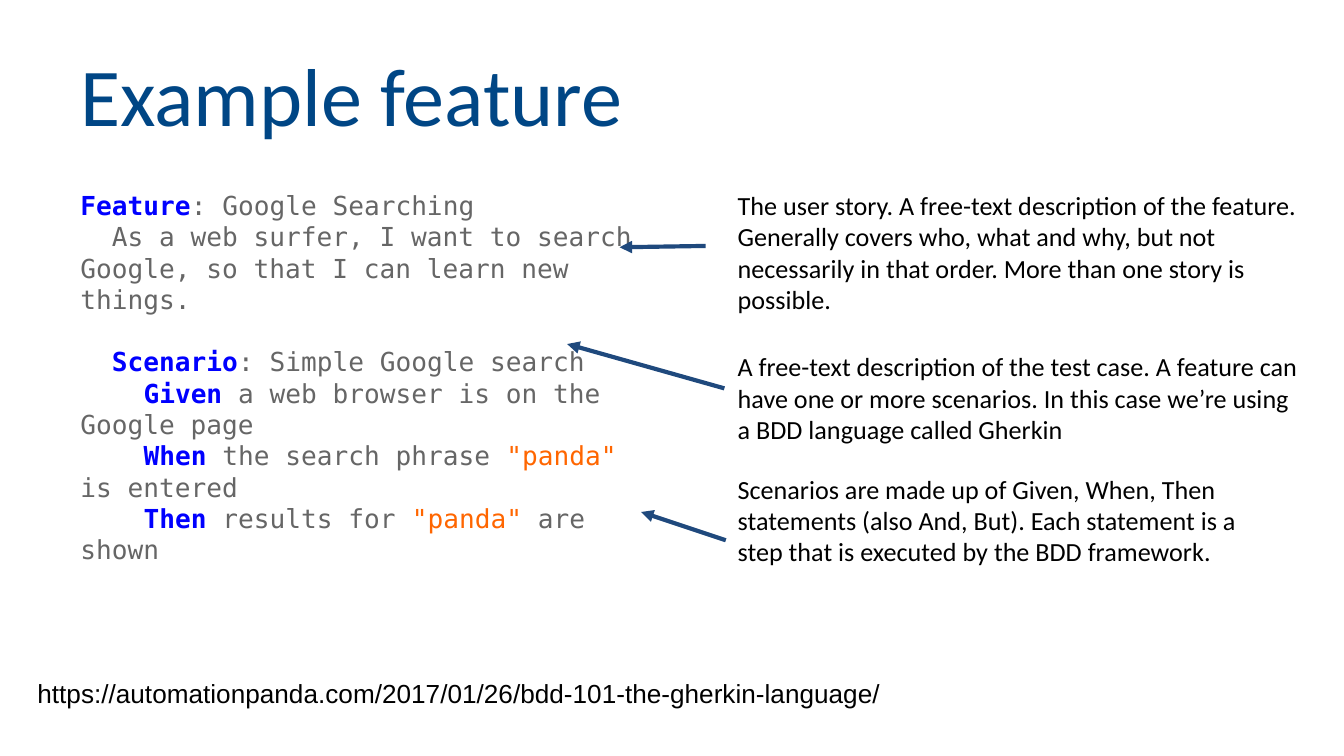
from pptx import Presentation
from pptx.dml.color import RGBColor as RGB
from pptx.enum.shapes import MSO_CONNECTOR as CONN
from pptx.enum.text import MSO_ANCHOR as ANCHOR
from pptx.oxml.ns import qn
from pptx.util import Inches, Pt
from lxml import etree

COLORS = {"title": "004685", "keyword": "0000FF", "plain": "666666",
          "string": "FF6600", "body": "000000", "arrow": "1F497D"}

# Widescreen slide, 16:9
prs = Presentation()
prs.slide_width = Inches(10)
prs.slide_height = prs.slide_width * 9 // 16
s = prs.slides.add_slide(prs.slide_layouts[6])

# Grid of 100 columns, with square cells
CELL = prs.slide_width / 100
LEFT, RIGHT, TOP = 5, 53.9, 13.1


def grid(*cells):
    return [round(c * CELL) for c in cells]


def add_text(box, lines, size, font, anchor=ANCHOR.TOP):
    """Add a text box; each line is a list of (text, colour key) pairs."""
    tf = s.shapes.add_textbox(*grid(*box)).text_frame
    tf.word_wrap = True
    tf.vertical_anchor = anchor
    tf.margin_left = tf.margin_right = tf.margin_top = tf.margin_bottom = Inches(0.1)
    for i, line in enumerate(lines):
        p = tf.add_paragraph() if i else tf.paragraphs[0]
        for text, key in line:
            r = p.add_run()
            r.text = text
            r.font.name, r.font.size = font, Pt(size)
            r.font.bold = key == "keyword"
            r.font.color.rgb = RGB.from_string(COLORS[key])
    return tf


# Title
add_text((LEFT, 2.3, 90, 9.4), [[("Example feature", "title")]], 44, "Calibri", ANCHOR.MIDDLE)

# Feature file
code = [
    [("Feature", "keyword"), (": Google Searching", "plain")],
    [("  As a web surfer, I want to search Google, so that I can learn new things.", "plain")],
    [("  ", "plain"), ("Scenario", "keyword"), (": Simple Google search", "plain")],
    [("    ", "plain"), ("Given", "keyword"), (" a web browser is on the Google page", "plain")],
    [("    ", "plain"), ("When", "keyword"), (" the search phrase ", "plain"),
     ('"panda"', "string"), (" is entered", "plain")],
    [("    ", "plain"), ("Then", "keyword"), (" results for ", "plain"),
     ('"panda"', "string"), (" are shown", "plain")],
]
tf = add_text((LEFT, TOP, 44.2, 37.1), code, 14, "DejaVu Sans Mono")
tf.paragraphs[2].space_before = Pt(16.4)  # one line between story and scenario

# Explanations: top, width, height, text, arrow start, arrow end
notes = [
    (TOP, 44.2, 10.5, "The user story. A free-text description of the feature. Generally covers "
     "who, what and why, but not necessarily in that order. More than one story is possible.",
     (52.5, 18.3), (46.1, 18.4)),
    (25.1, 44.2, 7.6, "A free-text description of the test case. A feature can have one or more "
     "scenarios. In this case we’re using a BDD language called Gherkin",
     (53.9, 28.9), (42.2, 25.6)),
    (34.2, 41.6, 12.2, "Scenarios are made up of Given, When, Then statements (also And, But). "
     "Each statement is a step that is executed by the BDD framework.",
     (54, 40.2), (47.7, 38.1)),
]
for top, width, height, text, start, end in notes:
    add_text((RIGHT, top, width, height), [[(text, "body")]], 14, "Calibri")
    arrow = s.shapes.add_connector(CONN.STRAIGHT, *grid(*start, *end))
    arrow.line.color.rgb = RGB.from_string(COLORS["arrow"])
    arrow.line.width = Pt(2.25)
    etree.SubElement(arrow.line._get_or_add_ln(), qn("a:tailEnd"), type="triangle")
    etree.SubElement(arrow._element.spPr, qn("a:effectLst"))

# Reference
url = "https://automationpanda.com/2017/01/26/bdd-101-the-gherkin-language/"
add_text((1.8, 49.4, 70.9, 3.8), [[(url, "body")]], 14, "Arial")

prs.save("out.pptx")
